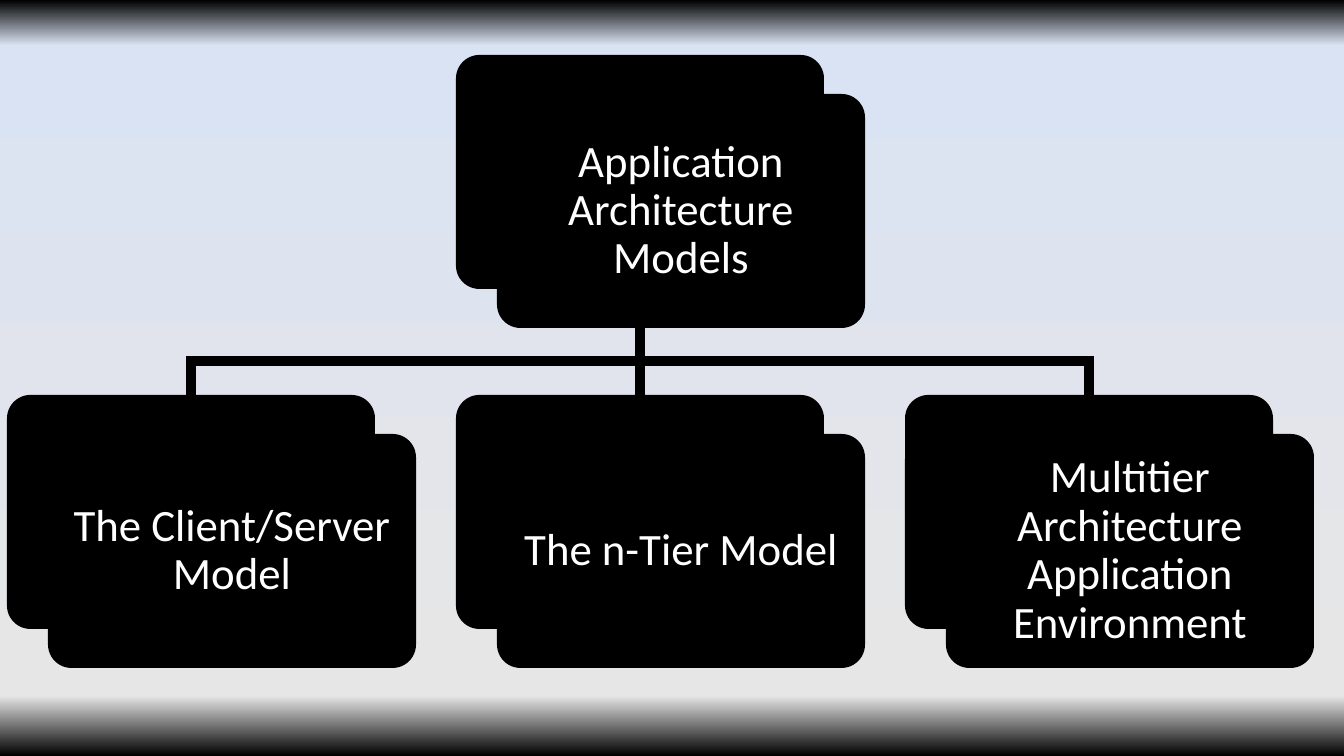
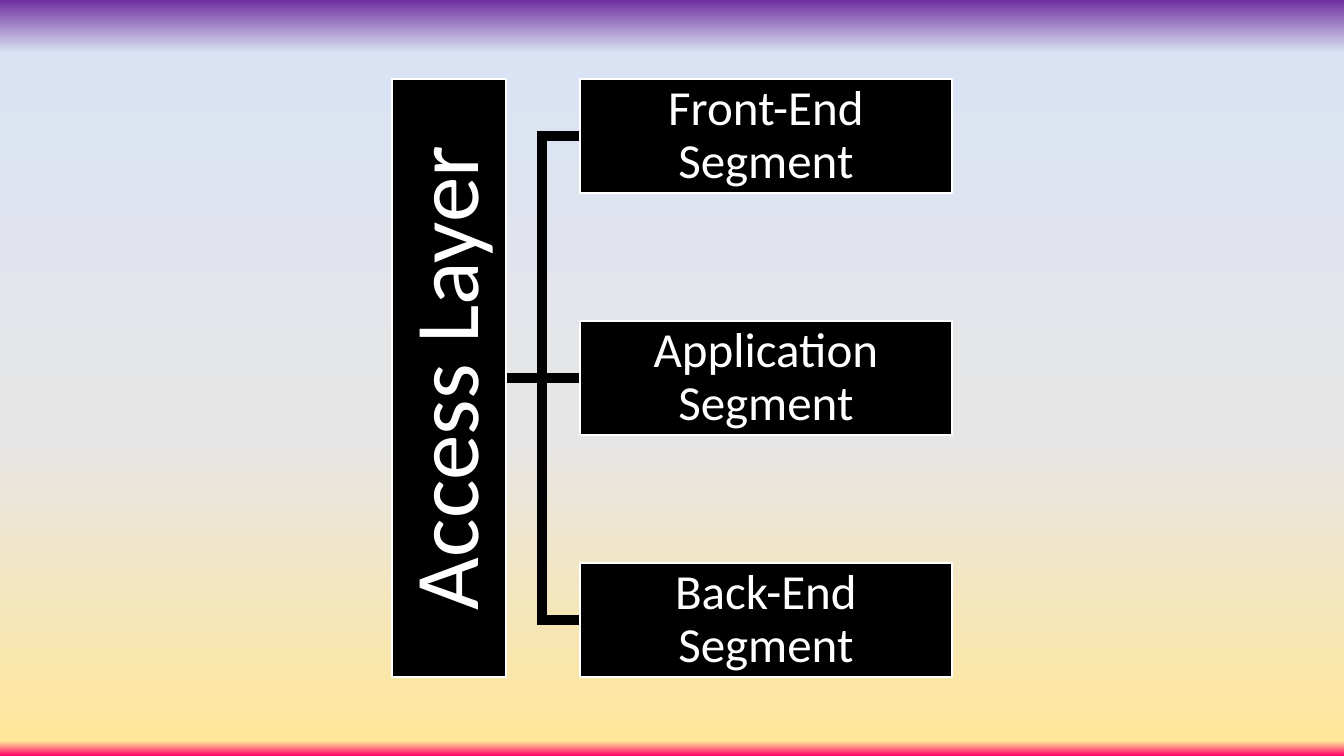
import dataclasses

import pptx
import pptx.dml.color
import pptx.enum.shapes
import pptx.enum.text
import pptx.oxml.ns
import pptx.util
from lxml import etree

SHAPES = pptx.enum.shapes.MSO_SHAPE
qn = pptx.oxml.ns.qn


@dataclasses.dataclass(frozen=True)
class Theme:
    font: str = "Calibri"
    ink: str = "000000"
    paper: str = "FFFFFF"
    card_size: int = 32
    segment_size: int = 35
    layer_size: int = 65
    border: float = 1
    tree_line: float = 7.25
    bracket_line: float = 7.75
    tree_sky: tuple = ((0, "000000"), (6, "DAE3F3"), (92, "E7E6E6"), (100, "000000"))
    layer_sky: tuple = (
        (0, "7030A0"), (7, "DAE3F3"), (58, "E7E6E6"), (98, "FFE699"), (100, "FF0066"),
    )


def px(length):
    return pptx.util.Emu(round(length * 12192000 / 1344))


def rgb(value):
    return pptx.dml.color.RGBColor.from_string(value)


def apply(target, formats):
    for name, value in formats.items():
        setattr(target, name, value)


class Deck:
    def __init__(self, theme):
        self.theme = theme
        self.deck = pptx.Presentation()
        apply(self.deck, {"slide_width": px(1344), "slide_height": px(756)})
        self.page = None

    def new_page(self, stops):
        self.page = self.deck.slides.add_slide(self.deck.slide_layouts[6])
        fill = self.page.background.fill
        fill.gradient()
        fill.gradient_angle = 270
        stop_list = next(self.page.element.iter(qn("a:gsLst")))
        for stop in list(stop_list):
            stop_list.remove(stop)
        for percent, color in stops:
            stop = etree.SubElement(stop_list, qn("a:gs"), pos=str(percent * 1000))
            etree.SubElement(stop, qn("a:srgbClr"), val=color)

    def box(self, kind, left, top, width, height, border=0, rotation=0):
        box = self.page.shapes.add_shape(kind, px(left), px(top), px(width), px(height))
        box.shadow.inherit = False
        box.rotation = rotation
        box.fill.solid()
        box.fill.fore_color.rgb = rgb(self.theme.ink)
        if border:
            self.stroke(box.line, self.theme.paper, border)
        else:
            box.line.fill.background()
        return box

    def stroke(self, line, color, width):
        line.color.rgb = rgb(color)
        line.width = pptx.util.Pt(width)

    def label(self, box, text, size, inset):
        frame = box.text_frame
        apply(frame, {
            "word_wrap": True,
            "vertical_anchor": pptx.enum.text.MSO_ANCHOR.MIDDLE,
            "margin_left": px(inset),
            "margin_right": px(inset),
            "margin_top": px(inset),
            "margin_bottom": px(inset),
        })
        para = frame.paragraphs[0]
        apply(para, {"alignment": pptx.enum.text.PP_ALIGN.CENTER, "line_spacing": 0.9})
        span = para.add_run()
        span.text = text
        apply(span.font, {"name": self.theme.font, "size": pptx.util.Pt(size)})
        span.font.color.rgb = rgb(self.theme.paper)

    def card(self, left, top, width, height, text):
        for shift_x, shift_y in ((0, 0), (41, 39)):
            face = self.box(SHAPES.ROUNDED_RECTANGLE,
                            left + shift_x, top + shift_y, width, height)
            face.adjustments[0] = 0.1
        self.label(face, text, self.theme.card_size, 13)

    def panel(self, left, top, width, height, text, size, inset, rotation=0):
        panel = self.box(SHAPES.RECTANGLE, left, top, width, height,
                         self.theme.border, rotation)
        self.label(panel, text, size, inset)

    def straight(self, start, end, width):
        connector = self.page.shapes.add_connector(
            pptx.enum.shapes.MSO_CONNECTOR.STRAIGHT, *map(px, start + end))
        self.stroke(connector.line, self.theme.ink, width)
        etree.SubElement(connector.element.spPr, qn("a:effectLst"))

    def elbow(self, points, width):
        corners = [(px(x), px(y)) for x, y in points]
        builder = self.page.shapes.build_freeform(*corners[0])
        builder.add_line_segments(corners[1:], close=False)
        elbow = builder.convert_to_shape()
        elbow.shadow.inherit = False
        elbow.fill.background()
        self.stroke(elbow.line, self.theme.ink, width)
        outline = elbow.element.spPr.find(qn("a:ln"))
        etree.SubElement(outline, qn("a:miter"), lim="800000")

    def save(self):
        self.deck.save("out.pptx")


def build_models(deck):
    theme = deck.theme
    deck.new_page(theme.tree_sky)
    width, height = 368, 234
    root_left, root_top, row_top, pitch = 456, 55, 395, 449
    trunk_x, root_bottom, junction_y = root_left + width // 2, root_top + height, 361
    for shift in (pitch, -pitch):
        deck.elbow([(trunk_x, root_bottom), (trunk_x, junction_y),
                    (trunk_x + shift, junction_y), (trunk_x + shift, row_top)],
                   theme.tree_line)
    deck.straight((trunk_x, root_bottom), (trunk_x, row_top), theme.tree_line)
    deck.card(root_left, root_top, width, height, "Application Architecture Models")
    models = (
        "The Client/Server Model",
        "The n-Tier Model",
        "Multitier Architecture Application Environment",
    )
    for column, model in enumerate(models, -1):
        deck.card(root_left + column * pitch, row_top, width, height, model)


def build_access_layer(deck):
    theme = deck.theme
    deck.new_page(theme.layer_sky)
    middle_y, pitch, height = 378, 242, 114
    layer_right, spine_x, segment_left = 506, 542, 580
    for shift in (pitch, -pitch):
        deck.elbow([(layer_right, middle_y), (spine_x, middle_y),
                    (spine_x, middle_y + shift), (segment_left, middle_y + shift)],
                   theme.bracket_line)
    deck.straight((layer_right, middle_y), (segment_left, middle_y), theme.bracket_line)
    top = middle_y - height // 2
    deck.panel(150, top, 598, height, "Access Layer", theme.layer_size, 5, 270)
    segments = ("Front-End Segment", "Application Segment", "Back-End Segment")
    for row, segment in enumerate(segments, -1):
        deck.panel(segment_left, top + row * pitch, 372, height,
                   segment, theme.segment_size, 2)


def main():
    deck = Deck(Theme())
    build_models(deck)
    build_access_layer(deck)
    deck.save()


if __name__ == "__main__":
    main()
